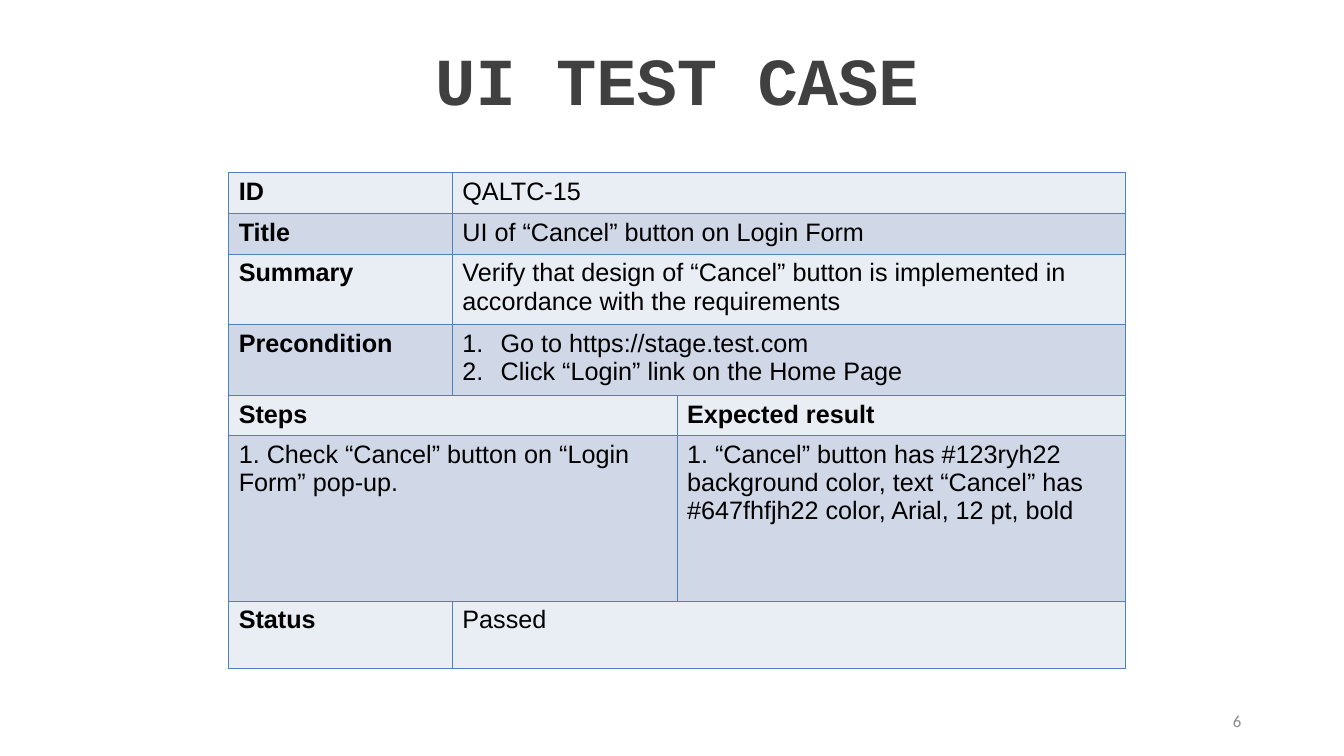
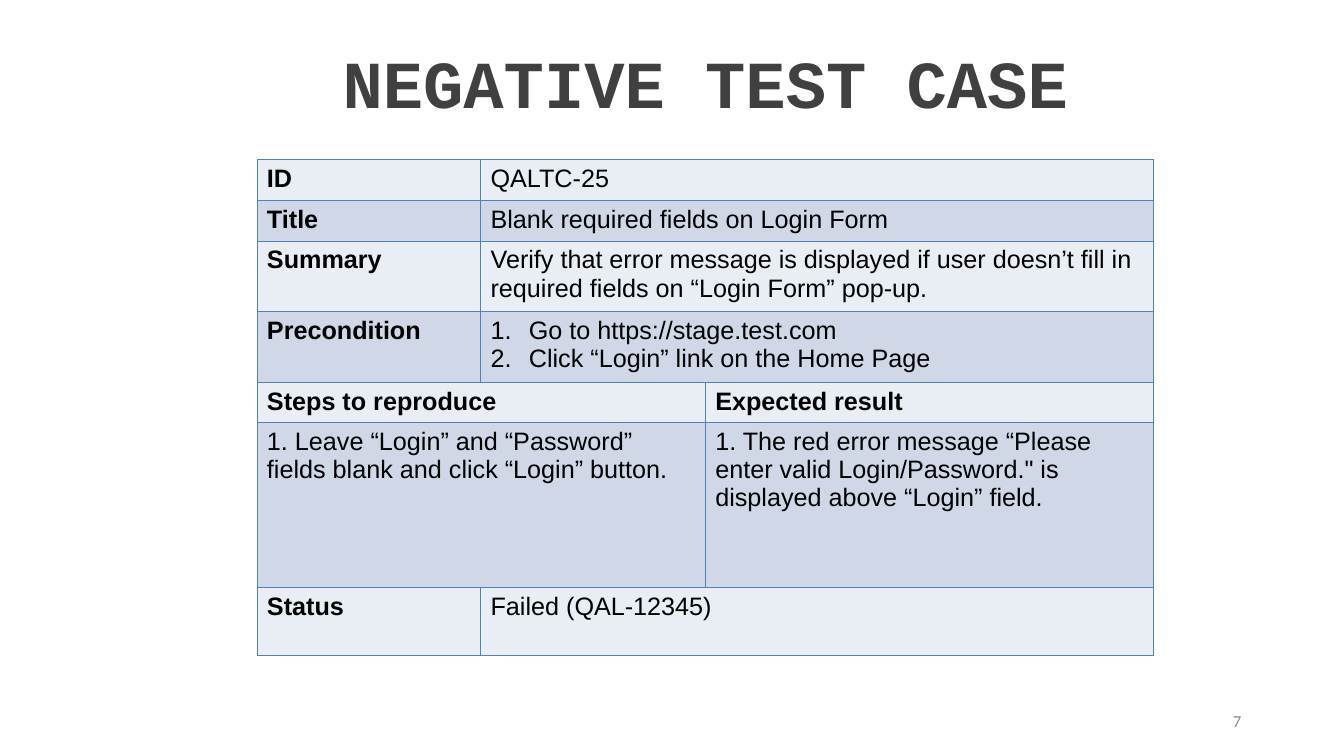
"""Build two test case slides, each with a title, a case table and a page number."""
from lxml import etree
from pptx import Presentation
from pptx.dml.color import RGBColor
from pptx.enum.text import MSO_ANCHOR, MSO_AUTO_SIZE, PP_ALIGN
from pptx.oxml.ns import qn
from pptx.util import Inches, Pt

TITLE_GREY = RGBColor(0x40, 0x40, 0x40)
PAGE_GREY = RGBColor(0x89, 0x89, 0x89)
BLACK = RGBColor(0, 0, 0)
BORDER = RGBColor(0x4F, 0x81, 0xBD)
BANDS = (RGBColor(0xE9, 0xED, 0xF4), RGBColor(0xD0, 0xD8, 0xE8))

COL_WIDTHS = (2.22, 2.23, 4.45)
ROW_HEIGHTS = (0.41, 0.4, 0.7, 0.7, 0.4, 1.64, 0.67)
SPLIT_ROWS = (4, 5)
HEADING_ROW = 4
TITLE_CHAR_WIDTH = 0.4
PRECONDITION = ["Go to https://stage.test.com", "Click “Login” link on the Home Page"]

CASES = [
    {
        "page": 6, "title": "UI TEST CASE", "title_top": 0.33, "table_at": (2.27, 1.71),
        "rows": [
            ("ID", "QALTC-15"),
            ("Title", "UI of “Cancel” button on Login Form"),
            ("Summary", "Verify that design of “Cancel” button is implemented in "
                        "accordance with the requirements"),
            ("Precondition", PRECONDITION),
            ("Steps", "Expected result"),
            ("1. Check “Cancel” button on “Login Form” pop-up.",
             "1. “Cancel” button has #123ryh22 background color, text “Cancel” has "
             "#647fhfjh22 color, Arial, 12 pt, bold"),
            ("Status", "Passed"),
        ],
    },
    {
        "page": 7, "title": "NEGATIVE TEST CASE", "title_top": 0.36, "table_at": (2.55, 1.58),
        "rows": [
            ("ID", "QALTC-25"),
            ("Title", "Blank required fields on Login Form"),
            ("Summary", "Verify that error message is displayed if user doesn’t fill in "
                        "required fields on “Login Form” pop-up."),
            ("Precondition", PRECONDITION),
            ("Steps to reproduce", "Expected result"),
            ("1. Leave “Login” and “Password” fields blank and click “Login” button.",
             "1. The red error message “Please enter valid Login/Password.\" is "
             "displayed above “Login” field."),
            ("Status", "Failed (QAL-12345)"),
        ],
    },
]


def add_run(p, text, font, size, color, bold=False):
    r = p.add_run()
    r.text = text
    r.font.name, r.font.size, r.font.bold = font, Pt(size), bold
    r.font.color.rgb = color


def number_paragraph(p):
    pPr = p._p.get_or_add_pPr()
    pPr.set("marL", str(Inches(0.38)))
    pPr.set("indent", str(-Inches(0.38)))
    color = etree.SubElement(pPr, qn("a:buClr"))
    etree.SubElement(color, qn("a:srgbClr"), val=str(BLACK))
    etree.SubElement(pPr, qn("a:buAutoNum"), type="arabicPeriod")


def style_cell(cell, band):
    tcPr = cell._tc.get_or_add_tcPr()
    for side in ("lnL", "lnR", "lnT", "lnB"):
        line = etree.SubElement(tcPr, qn(f"a:{side}"), w=str(Pt(0.45)))
        fill = etree.SubElement(line, qn("a:solidFill"))
        etree.SubElement(fill, qn("a:srgbClr"), val=str(BORDER))
    cell.fill.solid()
    cell.fill.fore_color.rgb = band


def fill_cell(cell, content, bold):
    numbered = isinstance(content, list)
    tf = cell.text_frame
    for i, text in enumerate(content if numbered else [content]):
        p = tf.add_paragraph() if i else tf.paragraphs[0]
        if numbered:
            number_paragraph(p)
        add_run(p, text, "Arial", 18, BLACK, bold)


def add_title(slide, text, center, top):
    width = TITLE_CHAR_WIDTH * len(text) + 0.2
    sp = slide.shapes.title
    sp.left, sp.top = Inches(center - width / 2), Inches(top)
    sp.width, sp.height = Inches(width), Inches(0.9)
    tf = sp.text_frame
    tf.word_wrap = True
    tf.auto_size = MSO_AUTO_SIZE.NONE
    tf.margin_right = 0
    tf.vertical_anchor = MSO_ANCHOR.TOP
    p = tf.paragraphs[0]
    p.alignment = PP_ALIGN.LEFT
    add_run(p, text, "Courier New", 48, TITLE_GREY, True)


def add_page_number(slide, page):
    tf = slide.shapes.add_textbox(Inches(9.42), Inches(6.95), Inches(3), Inches(0.4)).text_frame
    tf.word_wrap = True
    tf.vertical_anchor = MSO_ANCHOR.MIDDLE
    p = tf.paragraphs[0]
    p.alignment = PP_ALIGN.RIGHT
    add_run(p, str(page), "Calibri", 12, PAGE_GREY)


def add_case_table(slide, left, top, rows):
    table = slide.shapes.add_table(
        len(rows), len(COL_WIDTHS), Inches(left), Inches(top),
        Inches(sum(COL_WIDTHS)), Inches(sum(ROW_HEIGHTS))).table
    table.first_row = table.horz_banding = False
    for column, width in zip(table.columns, COL_WIDTHS):
        column.width = Inches(width)
    for i, (first, second) in enumerate(rows):
        table.rows[i].height = Inches(ROW_HEIGHTS[i])
        for j in range(len(COL_WIDTHS)):
            style_cell(table.cell(i, j), BANDS[i % 2])
        split = i in SPLIT_ROWS
        merge_from, second_col = (0, 2) if split else (1, 1)
        table.cell(i, merge_from).merge(table.cell(i, merge_from + 1))
        fill_cell(table.cell(i, 0), first, not split or i == HEADING_ROW)
        fill_cell(table.cell(i, second_col), second, i == HEADING_ROW)


def main():
    prs = Presentation()
    prs.slide_width, prs.slide_height = Inches(13.34), Inches(7.5)
    for case in CASES:
        slide = prs.slides.add_slide(prs.slide_layouts[5])
        left, top = case["table_at"]
        add_page_number(slide, case["page"])
        add_title(slide, case["title"], left + sum(COL_WIDTHS) / 2, case["title_top"])
        add_case_table(slide, left, top, case["rows"])
    prs.save("out.pptx")


if __name__ == "__main__":
    main()
